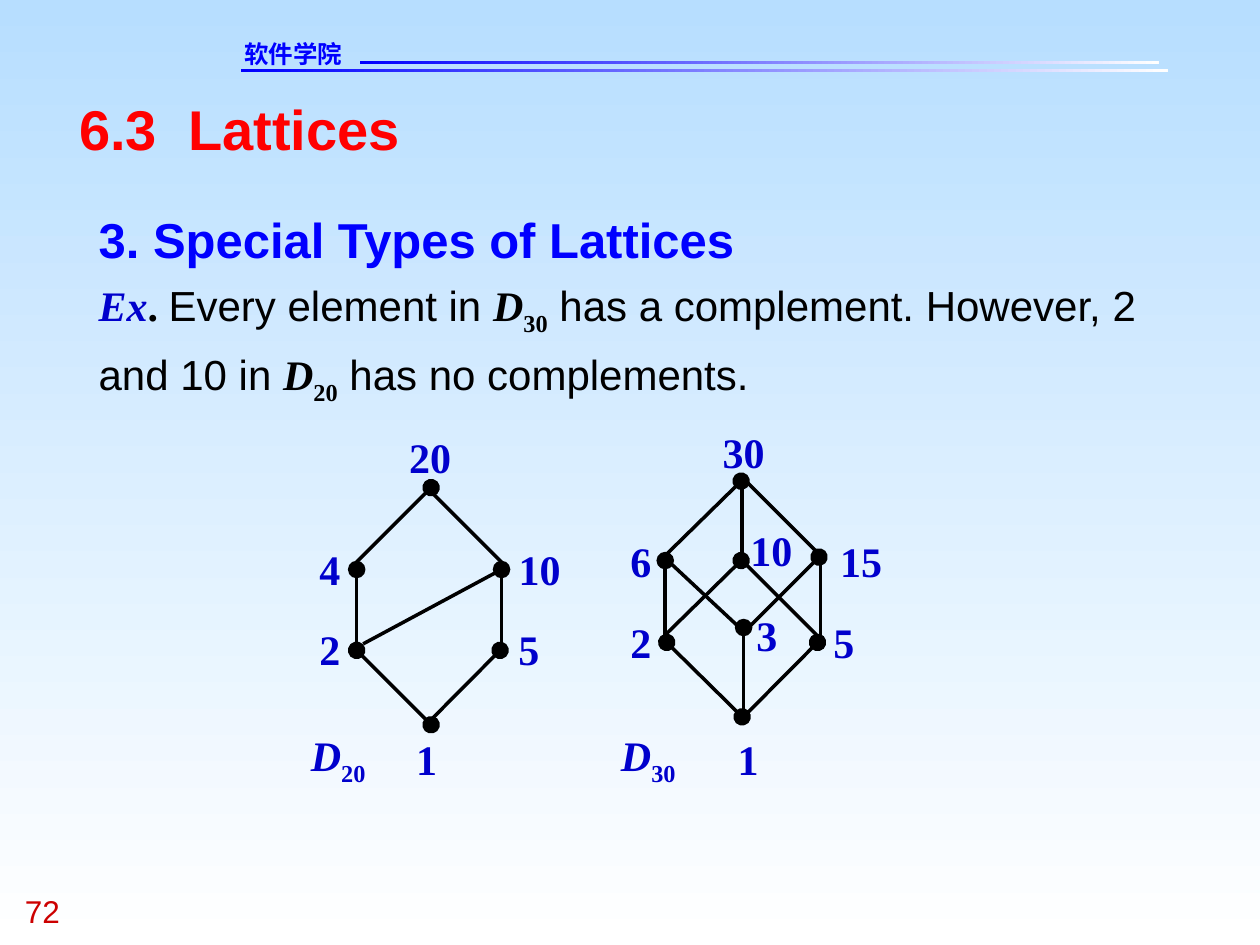
from dataclasses import dataclass

from lxml.etree import SubElement
from pptx import Presentation
from pptx.dml.color import RGBColor
from pptx.enum.shapes import MSO_CONNECTOR, MSO_SHAPE
from pptx.enum.text import PP_ALIGN
from pptx.oxml.ns import qn
from pptx.util import Cm, Pt


@dataclass(frozen=True)
class Theme:
    sky: str = "B7DEFF"
    white: str = "FFFFFF"
    blue: str = "0000FF"
    navy: str = "0000CC"
    red: str = "FF0000"
    crimson: str = "CC0000"
    black: str = "000000"
    sans: str = "Arial"
    serif: str = "Times New Roman"
    header_font: str = "DejaVu Sans"
    title_size: int = 32
    heading_size: int = 28
    body_size: int = 24
    number_size: int = 18
    header_size: int = 14
    edge_width: int = 2


theme = Theme()


def add_text(shapes, box, paragraphs, align=PP_ALIGN.LEFT, spacing=None, wrap=True):
    frame = shapes.add_textbox(*map(Cm, box)).text_frame
    frame.margin_left = frame.margin_top = frame.margin_right = frame.margin_bottom = 0
    frame.word_wrap = wrap
    for index, runs in enumerate(paragraphs):
        paragraph = frame.add_paragraph() if index else frame.paragraphs[0]
        paragraph.alignment = align
        paragraph.line_spacing = spacing
        for text, font_name, size, color, style in runs:
            run = paragraph.add_run()
            run.text = text
            run.font.name = font_name
            run.font.size = Pt(size)
            run.font.color.rgb = RGBColor.from_string(color)
            run.font.bold = "b" in style
            run.font.italic = "i" in style
            if "s" in style:
                run.font._element.set("baseline", "-25000")


def set_gradient(fill, colors, angle):
    fill.gradient()
    fill.gradient_angle = angle
    for stop, color in zip(fill.gradient_stops, colors):
        stop.color.rgb = RGBColor.from_string(color)


presentation = Presentation()
presentation.slide_width, presentation.slide_height = Cm(25.4), Cm(19.05)
slide = presentation.slides.add_slide(presentation.slide_layouts[6])
set_gradient(slide.background.fill, (theme.sky, theme.white), 270)

for left, top, width in ((4.85, 1.4, 18.69), (7.26, 1.24, 16.1)):
    rule = slide.shapes.add_shape(
        MSO_SHAPE.RECTANGLE, Cm(left), Cm(top), Cm(width), Cm(0.06)
    )
    rule.shadow.inherit = False
    rule.line.fill.background()
    set_gradient(rule.fill, (theme.blue, theme.white), 0)

serif_body = (theme.serif, theme.body_size)
sans_body = (theme.sans, theme.body_size, theme.black, "")
symbol = (*serif_body, theme.black, "bi")
subscript = (*serif_body, theme.black, "bs")

add_text(slide.shapes, (4.92, 0.79, 3.68, 0.58),
         [[("软件学院", theme.header_font, theme.header_size, theme.blue, "b")]])
add_text(slide.shapes, (0.5, 17.98, 1.9, 0.76),
         [[("72", theme.sans, theme.number_size, theme.crimson, "")]])
add_text(slide.shapes, (1.6, 1.91, 22.22, 1.35),
         [[("6.3  Lattices", theme.sans, theme.title_size, theme.red, "b")]])
add_text(slide.shapes, (1.99, 3.99, 22.07, 4.19), [
    [("3. Special Types of Lattices", theme.sans, theme.heading_size, theme.blue, "b")],
    [
        ("Ex", *serif_body, theme.navy, "bi"),
        (". ", *serif_body, theme.black, "b"),
        ("Every element in ", *sans_body),
        ("D", *symbol),
        ("30", *subscript),
        (" has a complement. However, 2 and 10 in ", *sans_body),
        ("D", *symbol),
        ("20", *subscript),
        (" has no complements.", *sans_body),
    ],
], spacing=1.2)

lattices = [
    {
        "name": ("20", 6.22),
        "nodes": [
            ("20", 8.23, 8.69), ("4", 6.43, 10.95), ("10", 10.44, 10.95),
            ("2", 6.43, 12.57), ("5", 10.44, 12.57), ("1", 8.38, 14.78),
        ],
        "edges": [
            (8.59, 14.61, 10.08, 13.11, ("tailEnd",)),
            (8.69, 14.61, 7.19, 13.11, ("headEnd", "tailEnd")),
            (7.19, 12.98, 7.19, 11.48, ("tailEnd",)),
            (10.11, 12.98, 10.11, 11.48, ("tailEnd",)),
            (7.19, 11.33, 8.69, 9.83, ("tailEnd",)),
            (10.11, 11.33, 8.61, 9.83, ()),
            (7.32, 12.98, 10.11, 11.48, ()),
        ],
    },
    {
        "name": ("30", 12.47),
        "nodes": [
            ("30", 14.55, 8.59), ("6", 12.7, 10.8), ("10", 15.11, 10.57),
            ("15", 16.92, 10.8), ("2", 12.7, 12.42), ("3", 15.24, 12.29),
            ("5", 16.79, 12.42), ("1", 14.86, 14.78),
        ],
        "edges": [
            (14.99, 14.45, 16.48, 12.95, ("tailEnd",)),
            (14.96, 14.45, 13.44, 12.95, ("headEnd", "tailEnd")),
            (14.99, 14.45, 14.99, 12.65, ("tailEnd",)),
            (16.46, 12.8, 14.96, 11.3, ()),
            (13.41, 12.8, 14.94, 11.3, ("tailEnd",)),
            (14.96, 12.7, 13.46, 11.3, ()),
            (13.41, 12.8, 13.41, 11.3, ("tailEnd",)),
            (16.54, 12.8, 16.54, 11.3, ()),
            (16.54, 11.2, 15.04, 9.7, ()),
            (13.41, 11.2, 14.94, 9.7, ("tailEnd",)),
            (15.01, 12.73, 16.51, 11.23, ("tailEnd",)),
            (14.96, 11.23, 14.96, 9.73, ()),
        ],
    },
]

for lattice in lattices:
    shapes = slide.shapes.add_group_shape().shapes
    for *ends, dots in lattice["edges"]:
        edge = shapes.add_connector(MSO_CONNECTOR.STRAIGHT, *map(Cm, ends))
        edge.line.width = Pt(theme.edge_width)
        edge.line.color.rgb = RGBColor.from_string(theme.black)
        for dot in dots:
            SubElement(edge.line._get_or_add_ln(), qn(f"a:{dot}"),
                       type="oval", w="lg", len="lg")
        SubElement(edge._element.spPr, qn("a:effectLst"))
    for label, left, top in lattice["nodes"]:
        add_text(shapes, (left, top, 0.44 * len(label), 1.02),
                 [[(label, *serif_body, theme.navy, "b")]], PP_ALIGN.CENTER, wrap=False)
    order, left = lattice["name"]
    add_text(shapes, (left, 14.71, 1.2, 1.17), [[
        ("D", *serif_body, theme.navy, "bi"),
        (order, *serif_body, theme.navy, "bs"),
    ]], PP_ALIGN.CENTER)

presentation.save("out.pptx")
